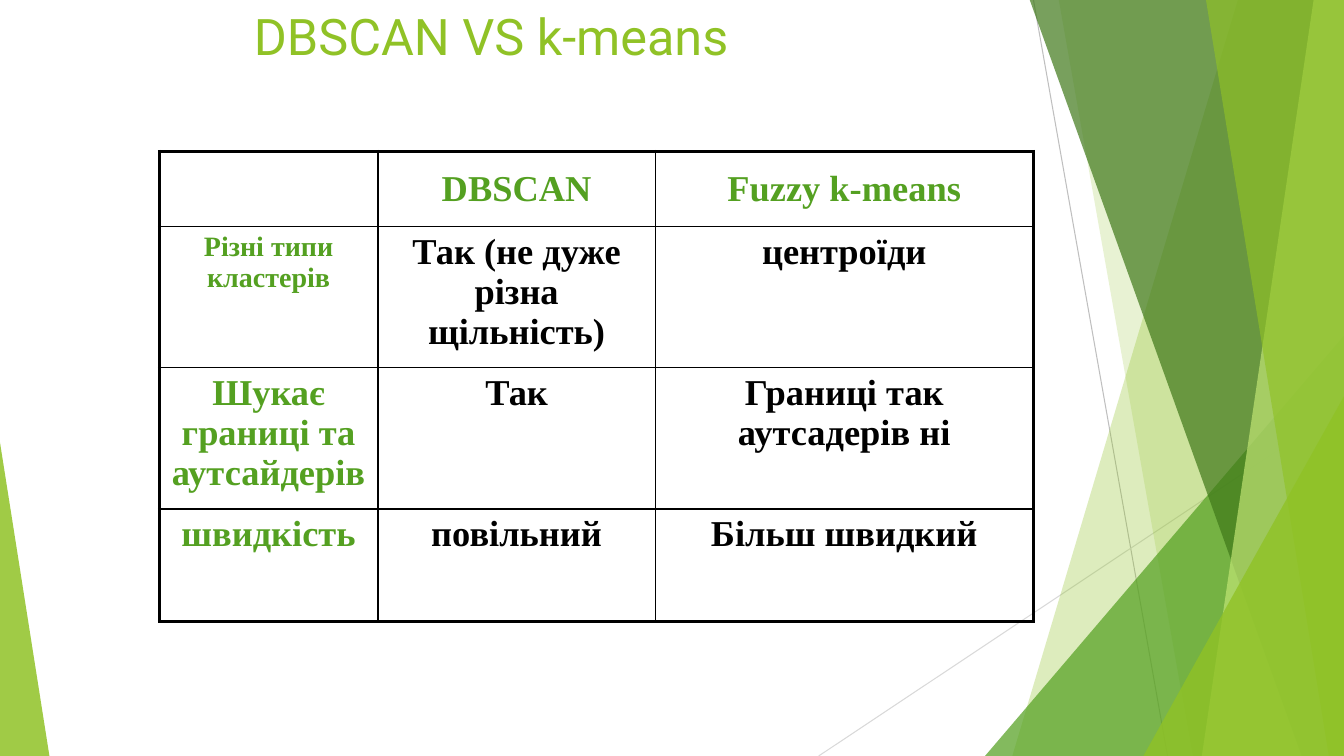
from dataclasses import dataclass
from pptx import Presentation
from pptx.dml.color import RGBColor
from pptx.enum.shapes import MSO_CONNECTOR as CONN, MSO_SHAPE as SHAPE
from pptx.enum.text import MSO_ANCHOR as ANCHOR, PP_ALIGN as ALIGN
from pptx.oxml.ns import qn
from pptx.util import Inches, Pt
from lxml.etree import SubElement


@dataclass(frozen=True)
class Theme:
    """Colours, fonts and sizes of the slide."""
    lime: str = "90C226"
    pale: str = "C0E474"
    green: str = "54A021"
    forest: str = "3F7819"
    black: str = "000000"
    title_font: str = "Roboto"
    table_font: str = "Times New Roman"
    title_size: int = 36
    cell_size: int = 26
    small_size: int = 20
    outer_line: float = 2.25
    inner_line: float = 1
    ray_line: float = 0.75


T = Theme()
W, H = 13.33, 7.5
TOP = -0.01

TITLE = "DBSCAN VS k-means"
ROWS = [
    ["", "DBSCAN", "Fuzzy k-means"],
    ["Різні типи кластерів", "Так (не дуже різна щільність)", "центроїди"],
    ["Шукає границі та аутсайдерів", "Так", "Границі так аутсадерів ні"],
    ["швидкість", "повільний", "Більш швидкий"],
]
SMALL_CELL = (1, 0)
COL_WIDTHS = [2.17, 2.75, 3.75]
ROW_HEIGHTS = [0.75, 1.12, 1.12, 1.12]

# from x, from y, to x, to y, colour
RAYS = [(10.25, 0, 11.58, H, "BFBFBF"), (W, 4.03, 8.12, H, "D9D9D9")]
# Back to front. Facet: top x, bottom x (both reach the right edge).
# Triangle: left, top, width, apex (all stand on the bottom edge).
DECOR = [
    ("facet", (12.28, 10.04), T.lime, 30),
    ("facet", (10.5, 11.83), T.lime, 20),
    ("triangle", (9.77, 3.33, 3.56, 1), T.green, 72),
    ("facet", (10.21, 12.91), T.forest, 70),
    ("facet", (13.03, 11.92), T.pale, 70),
    ("facet", (11.96, 13.18), T.lime, 65),
    ("triangle", (11.34, 3.93, 1.99, 1), T.lime, 80),
    ("triangle", (0, 4.39, 0.49, 0), T.lime, 85),
]


def rgb(color):
    """Turn a hex string into a colour."""
    return RGBColor.from_string(color)


def add_ray(s, x1, y1, x2, y2, color):
    """Draw one thin line without a shadow."""
    ray = s.shapes.add_connector(CONN.STRAIGHT, *map(Inches, (x1, y1, x2, y2)))
    ray.line.color.rgb = rgb(color)
    ray.line.width = Pt(T.ray_line)
    SubElement(ray._element.spPr, qn("a:effectLst"))


def add_facet(s, top_x, bottom_x):
    """Draw a slanted panel that fills up to the right edge."""
    points = [(W, TOP), (W, H), (bottom_x, H)]
    fb = s.shapes.build_freeform(Inches(top_x), Inches(TOP))
    fb.add_line_segments([tuple(map(Inches, xy)) for xy in points], close=True)
    return fb.convert_to_shape()


def add_triangle(s, left, top, width, apex):
    """Draw a triangle standing on the bottom edge."""
    box = map(Inches, (left, top, width, H - top))
    sp = s.shapes.add_shape(SHAPE.ISOSCELES_TRIANGLE, *box)
    sp.adjustments[0] = apex
    return sp


def paint(sp, color, opacity):
    """Give a shape a translucent fill with no line or shadow."""
    sp.shadow.inherit = False
    sp.line.fill.background()
    sp.fill.solid()
    sp.fill.fore_color.rgb = rgb(color)
    clr = sp._element.spPr.find(qn("a:solidFill"))[0]
    SubElement(clr, qn("a:alpha"), val=str(opacity * 1000))


def add_run(p, text, font, size, color, bold=False):
    """Add one formatted run."""
    r = p.add_run()
    r.text = text
    r.font.name, r.font.size, r.font.bold = font, Pt(size), bold
    r.font.color.rgb = rgb(color)


def set_borders(cell, row, col):
    """Draw thick outer and thin inner cell borders."""
    edges = {"lnL": col == 0, "lnR": col == len(COL_WIDTHS) - 1,
             "lnT": row == 0, "lnB": row == len(ROWS) - 1}
    tc_pr = cell._tc.get_or_add_tcPr()
    for i, (tag, outer) in enumerate(edges.items()):
        width = Pt(T.outer_line if outer else T.inner_line)
        ln = SubElement(tc_pr, qn(f"a:{tag}"), w=str(int(width)))
        fill = SubElement(ln, qn("a:solidFill"))
        SubElement(fill, qn("a:srgbClr"), val=T.black)
        tc_pr.insert(i, ln)


def fill_cell(cell, row, col, text):
    """Style one table cell and write its text."""
    cell.fill.background()
    set_borders(cell, row, col)
    cell.vertical_anchor = ANCHOR.MIDDLE if row == 0 else ANCHOR.TOP
    p = cell.text_frame.paragraphs[0]
    p.alignment = ALIGN.CENTER
    before = SubElement(p._p.get_or_add_pPr(), qn("a:spcBef"))
    SubElement(before, qn("a:spcPct"), val="20000")
    if text:
        size = T.small_size if (row, col) == SMALL_CELL else T.cell_size
        color = T.green if row == 0 or col == 0 else T.black
        add_run(p, text, T.table_font, size, color, bold=True)


def add_comparison(s):
    """Add the comparison table."""
    box = map(Inches, (1.58, 1.5, sum(COL_WIDTHS), sum(ROW_HEIGHTS)))
    table = s.shapes.add_table(len(ROWS), len(COL_WIDTHS), *box).table
    table.first_row = table.horz_banding = False
    for column, width in zip(table.columns, COL_WIDTHS):
        column.width = Inches(width)
    for i, (height, texts) in enumerate(zip(ROW_HEIGHTS, ROWS)):
        table.rows[i].height = Inches(height)
        for j, text in enumerate(texts):
            fill_cell(table.cell(i, j), i, j, text)


def add_title(s):
    """Add the slide title."""
    tf = s.shapes.add_textbox(*map(Inches, (2.42, 0, 8.5, 1.25))).text_frame
    tf.word_wrap = True
    tf.vertical_anchor = ANCHOR.TOP
    add_run(tf.paragraphs[0], TITLE, T.title_font, T.title_size, T.lime)


prs = Presentation()
prs.slide_width, prs.slide_height = Inches(W), Inches(H)
s = prs.slides.add_slide(prs.slide_layouts[6])
for ray in RAYS:
    add_ray(s, *ray)
makers = {"facet": add_facet, "triangle": add_triangle}
for kind, geometry, color, opacity in DECOR:
    paint(makers[kind](s, *geometry), color, opacity)
add_title(s)
add_comparison(s)
prs.save("out.pptx")
